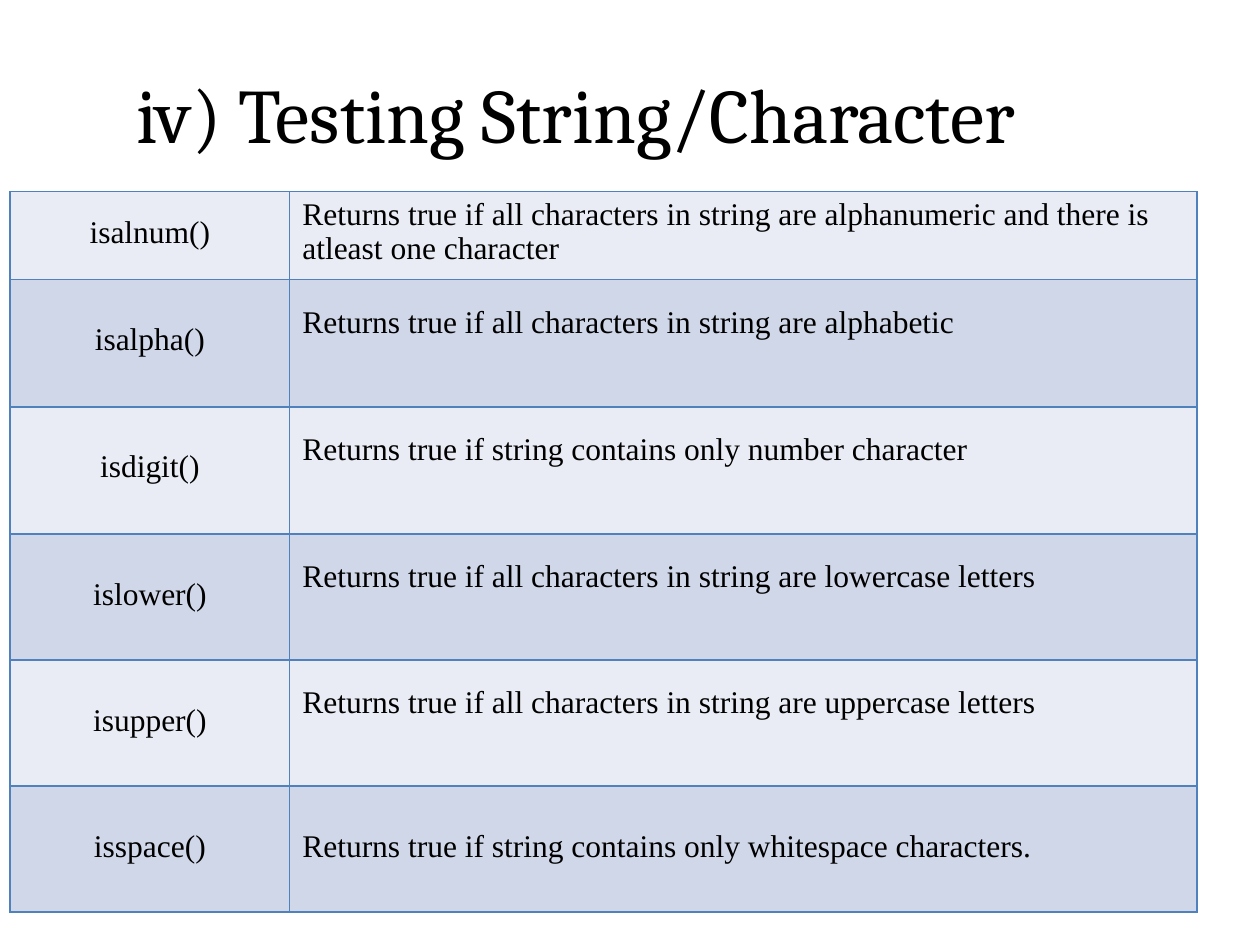
from lxml.etree import SubElement
from pptx import Presentation
from pptx.dml.color import RGBColor
from pptx.enum.text import MSO_ANCHOR, PP_ALIGN
from pptx.oxml.ns import qn
from pptx.util import Inches, Pt

BLACK = RGBColor(0x00, 0x00, 0x00)
BORDER = RGBColor(0x4F, 0x81, 0xBC)
BANDS = [RGBColor(0xE9, 0xEC, 0xF4), RGBColor(0xD0, 0xD7, 0xE8)]

TITLE = "iv) Testing String/Character"
COLUMN_WIDTHS = [2.22, 7.2]
METHODS = [
    ("isalnum()", "Returns true if all characters in string are alphanumeric and there is\n"
     "atleast one character"),
    ("isalpha()", "Returns true if all characters in string are alphabetic"),
    ("isdigit()", "Returns true if string contains only number character"),
    ("islower()", "Returns true if all characters in string are lowercase letters"),
    ("isupper()", "Returns true if all characters in string are uppercase letters"),
    ("isspace()", "Returns true if string contains only whitespace characters."),
]
ROW_HEIGHTS = [0.7, 1.01, 1.01, 1, 1, 1]
METHOD_TOP_MARGINS = [0.19, 0.34, 0.34, 0.34, 0.34, 0.34]
DESCRIPTION_TOP_MARGINS = [0.05, 0.2, 0.2, 0.2, 0.2, 0.34]


def format_text(text_frame, font_name, size, alignment=PP_ALIGN.LEFT):
    for paragraph in text_frame.paragraphs:
        paragraph.alignment = alignment
        for run in paragraph.runs:
            run.font.name = font_name
            run.font.size = Pt(size)
            run.font.color.rgb = BLACK


def add_title(slide):
    text_frame = slide.shapes.add_textbox(
        Inches(1.08), Inches(0.53), Inches(7.85), Inches(0.75)).text_frame
    text_frame.word_wrap = True
    text_frame.margin_left = text_frame.margin_right = 0
    text_frame.margin_top = text_frame.margin_bottom = 0
    text_frame.text = TITLE
    format_text(text_frame, "Cambria", 44)


def set_borders(cell):
    properties = cell._tc.get_or_add_tcPr()
    for index, side in enumerate(("a:lnL", "a:lnR", "a:lnT", "a:lnB")):
        line = SubElement(properties, qn(side), w=str(Pt(1)))
        fill = SubElement(line, qn("a:solidFill"))
        SubElement(fill, qn("a:srgbClr"), val=str(BORDER))
        properties.insert(index, line)


def fill_cell(cell, text, top_margin, left_margin, alignment, color):
    cell.margin_left = Inches(left_margin)
    cell.margin_top = Inches(top_margin)
    cell.margin_right = cell.margin_bottom = 0
    cell.vertical_anchor = MSO_ANCHOR.TOP
    cell.fill.solid()
    cell.fill.fore_color.rgb = color
    cell.text_frame.text = text
    format_text(cell.text_frame, "Times New Roman", 18, alignment)
    for paragraph in cell.text_frame.paragraphs[1:]:
        paragraph.line_spacing = 0.95
    set_borders(cell)


def add_method_table(slide):
    table = slide.shapes.add_table(
        len(METHODS), len(COLUMN_WIDTHS), Inches(0.08), Inches(1.52),
        Inches(sum(COLUMN_WIDTHS)), Inches(sum(ROW_HEIGHTS))).table
    table.first_row = False
    table.horz_banding = False
    for column, width in zip(table.columns, COLUMN_WIDTHS):
        column.width = Inches(width)
    for index, (method, description) in enumerate(METHODS):
        table.rows[index].height = Inches(ROW_HEIGHTS[index])
        color = BANDS[index % len(BANDS)]
        fill_cell(table.cell(index, 0), method,
                  METHOD_TOP_MARGINS[index], 0, PP_ALIGN.CENTER, color)
        fill_cell(table.cell(index, 1), description,
                  DESCRIPTION_TOP_MARGINS[index], 0.1, PP_ALIGN.LEFT, color)


def main():
    presentation = Presentation()
    presentation.slide_width = Inches(10)
    presentation.slide_height = Inches(7.5)
    slide = presentation.slides.add_slide(presentation.slide_layouts[6])
    add_title(slide)
    add_method_table(slide)
    presentation.save("out.pptx")


if __name__ == "__main__":
    main()
